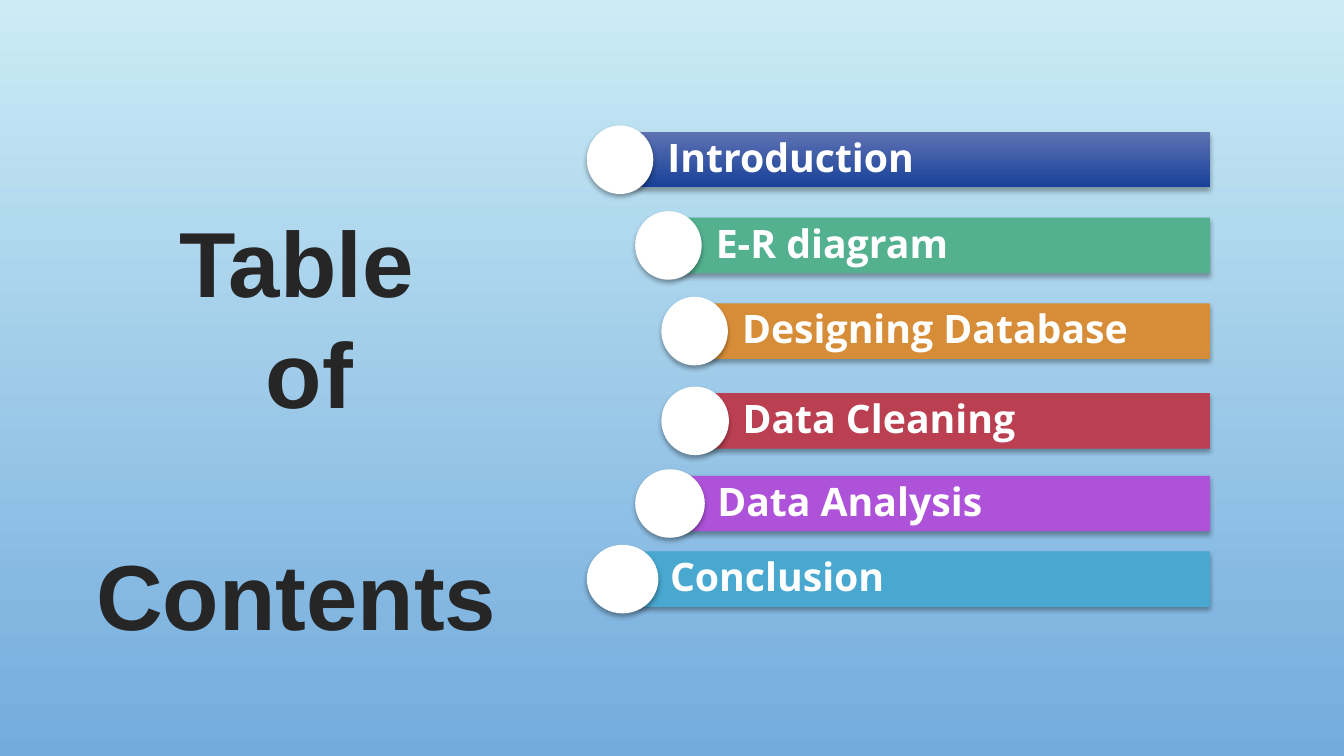
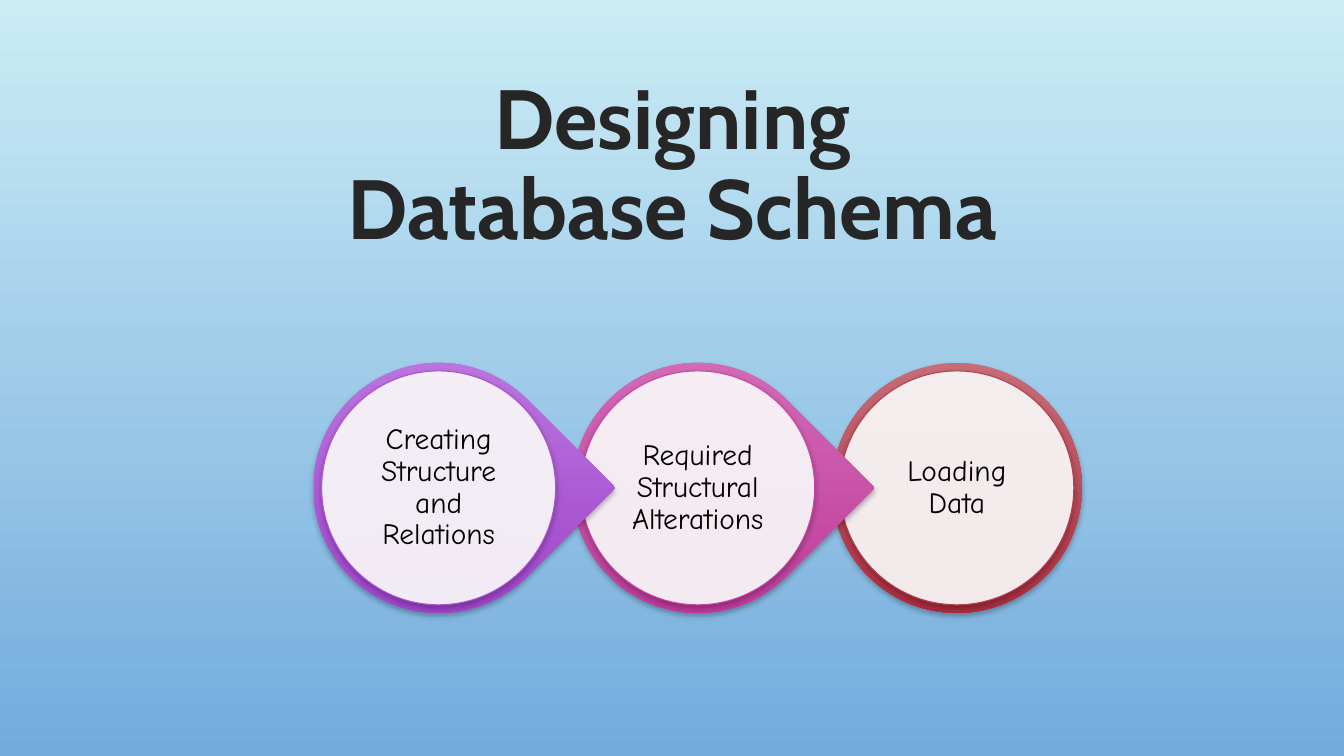
from dataclasses import dataclass

from lxml import etree
from pptx import Presentation
from pptx import util as u
from pptx.dml.color import RGBColor
from pptx.enum import shapes, text
from pptx.oxml.ns import qn


@dataclass(frozen=True)
class Theme:
    background: tuple = ("CBECF5", "73ABDD")
    title_color: str = "262626"
    white: str = "FFFFFF"
    black: str = "000000"
    contents_font: tuple = ("Arial", 66)
    schema_font: tuple = ("Cabin", 60)
    bar_font: tuple = ("Open Sans", 28)
    step_font: tuple = ("Comic Neue", 21)
    bar_shadow: tuple = (32, 3.5, 2.2)
    step_shadow: tuple = (28, 4, 2)


theme = Theme()

CONTENTS_PITCH = 79.3
CONTENTS_TITLE = {
    "box": (0.54, 1.98, 4.8, 4.6),
    "lines": [("Table", 0, 0), ("of", 0.26, 0), ("Contents", 0, CONTENTS_PITCH)],
    "font": theme.contents_font,
    "spacing": u.Pt(CONTENTS_PITCH),
}
SCHEMA_TITLE = {
    "box": (3.22, 0.71, 6.9, 2.4),
    "lines": [("Designing Database Schema", 0, 0)],
    "font": theme.schema_font,
    "spacing": 0.9,
}

BAR_RIGHT, BAR_HEIGHT, DOT_HEIGHT = 12, 0.55, 0.68
AGENDA = [
    ("Introduction", 5.82, 1.31, 0.66, ("5E72B3", "174199")),
    ("E-R diagram", 6.3, 2.16, 0.66, ("53B18F",)),
    ("Designing Database", 6.56, 3.01, 0.66, ("D78D38",)),
    ("Data Cleaning", 6.56, 3.9, 0.67, ("BA3F51",)),
    ("Data Analysis", 6.3, 4.72, 0.69, ("AE52D9",)),
    ("Conclusion", 5.82, 5.47, 0.71, ("48A8D0",)),
]

STEP_LEFT, STEP_TOP, STEP_PITCH = 3.11, 3.6, 2.57
RING, DISC = 2.48, 2.32
TEAR_TURN = 45
STEPS = [
    ("Creating Structure and Relations", ("BF7EE0", "9B3BC8"), "AE52D9"),
    ("Required Structural Alterations", ("D574B8", "BC3197"), "CC46A8"),
    ("Loading Data", ("C66D77", "AC2C3F"), "BA3F51"),
]


def rgb(color):
    return RGBColor.from_string(color)


def paint(fill, colors, turn=0):
    if len(colors) == 1:
        fill.solid()
        fill.fore_color.rgb = rgb(colors[0])
        return
    fill.gradient()
    fill.gradient_angle = 270 + turn
    for stop, color in zip(fill.gradient_stops, colors):
        stop.color.rgb = rgb(color)


def add_shadow(sp, alpha, blur, dist):
    sp.shadow.inherit = False
    effects = sp._element.spPr.find(qn("a:effectLst"))
    shadow = etree.SubElement(
        effects, qn("a:outerShdw"), blurRad=str(u.Pt(blur)), dist=str(u.Pt(dist)),
        dir="5400000", algn="ctr", rotWithShape="0")
    color = etree.SubElement(shadow, qn("a:srgbClr"), val=theme.black)
    etree.SubElement(color, qn("a:alpha"), val=str(alpha * 1000))


def set_opacity(sp, percent):
    color = sp._element.spPr.find(qn("a:solidFill")).find(qn("a:srgbClr"))
    etree.SubElement(color, qn("a:alpha"), val=str(percent * 1000))


def add_piece(s, kind, box, colors, shadow, line=None, turn=0):
    sp = s.shapes.add_shape(kind, *map(u.Inches, box))
    sp.rotation = turn
    paint(sp.fill, colors, turn)
    if line:
        sp.line.color.rgb = rgb(line)
        sp.line.width = u.Pt(0.75)
    else:
        sp.line.fill.background()
    add_shadow(sp, *shadow)
    return sp


def add_run(p, words, font, color, bold=False):
    name, size = font
    r = p.add_run()
    r.text = words
    r.font.name = name
    r.font.size = u.Pt(size)
    r.font.bold = bold
    r.font.color.rgb = rgb(color)


def set_label(sp, words, font, color, align, insets, bold=False):
    tf = sp.text_frame
    tf.word_wrap = True
    tf.vertical_anchor = text.MSO_ANCHOR.MIDDLE
    tf.margin_left, tf.margin_top, tf.margin_right, tf.margin_bottom = map(u.Inches, insets)
    p = tf.paragraphs[0]
    p.alignment = align
    p.line_spacing = 0.9
    add_run(p, words, font, color, bold)


def add_titled_slide(prs, title):
    s = prs.slides.add_slide(prs.slide_layouts[5])
    sp = s.shapes.title
    sp.left, sp.top, sp.width, sp.height = map(u.Inches, title["box"])
    tf = sp.text_frame
    tf.word_wrap = True
    tf.auto_size = text.MSO_AUTO_SIZE.NONE
    tf.vertical_anchor = text.MSO_ANCHOR.TOP
    for i, (words, indent, before) in enumerate(title["lines"]):
        p = tf.add_paragraph() if i else tf.paragraphs[0]
        p.alignment = text.PP_ALIGN.CENTER
        p.line_spacing = title["spacing"]
        p.space_before = u.Pt(before)
        margins = p._p.get_or_add_pPr()
        margins.set("marL", str(u.Inches(indent)))
        margins.set("indent", "0")
        add_run(p, words, title["font"], theme.title_color, True)
    return s


def build_contents(prs):
    s = add_titled_slide(prs, CONTENTS_TITLE)
    for words, dot_left, top, dot_width, colors in AGENDA:
        left = dot_left + dot_width / 2
        bar = add_piece(s, shapes.MSO_SHAPE.RECTANGLE,
                        (left, top, BAR_RIGHT - left, BAR_HEIGHT), colors, theme.bar_shadow)
        set_label(bar, words, theme.bar_font, theme.white,
                  text.PP_ALIGN.LEFT, (0.47, 0.08, 0.08, 0.08), True)
        dot_top = top + (BAR_HEIGHT - DOT_HEIGHT) / 2
        add_piece(s, shapes.MSO_SHAPE.OVAL, (dot_left, dot_top, dot_width, DOT_HEIGHT),
                  (theme.white,), theme.bar_shadow)


def build_schema(prs):
    s = add_titled_slide(prs, SCHEMA_TITLE)
    last = len(STEPS) - 1
    gap = (RING - DISC) / 2
    for i, (words, colors, outline) in reversed(list(enumerate(STEPS))):
        left = STEP_LEFT + i * STEP_PITCH
        kind, turn = ((shapes.MSO_SHAPE.OVAL, 0) if i == last
                      else (shapes.MSO_SHAPE.TEAR, TEAR_TURN))
        add_piece(s, kind, (left, STEP_TOP, RING, RING), colors, theme.step_shadow, turn=turn)
        disc = add_piece(s, shapes.MSO_SHAPE.OVAL, (left + gap, STEP_TOP + gap, DISC, DISC),
                         (theme.white,), theme.step_shadow, outline)
        set_opacity(disc, 90)
        set_label(disc, words, theme.step_font, theme.black,
                  text.PP_ALIGN.CENTER, (0.03,) * 4)


def main():
    prs = Presentation()
    prs.slide_width, prs.slide_height = u.Inches(13.33), u.Inches(7.5)
    paint(prs.slide_master.background.fill, theme.background)
    build_contents(prs)
    build_schema(prs)
    prs.save("out.pptx")


if __name__ == "__main__":
    main()
